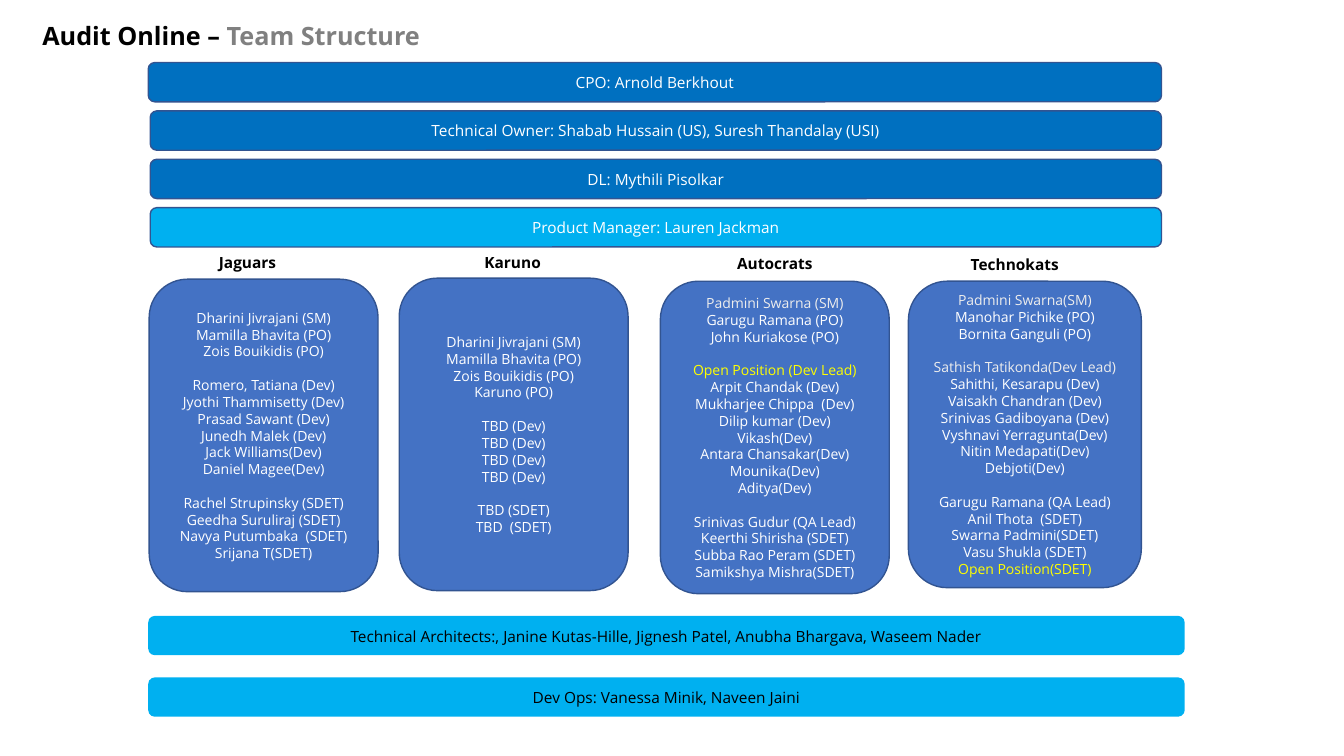
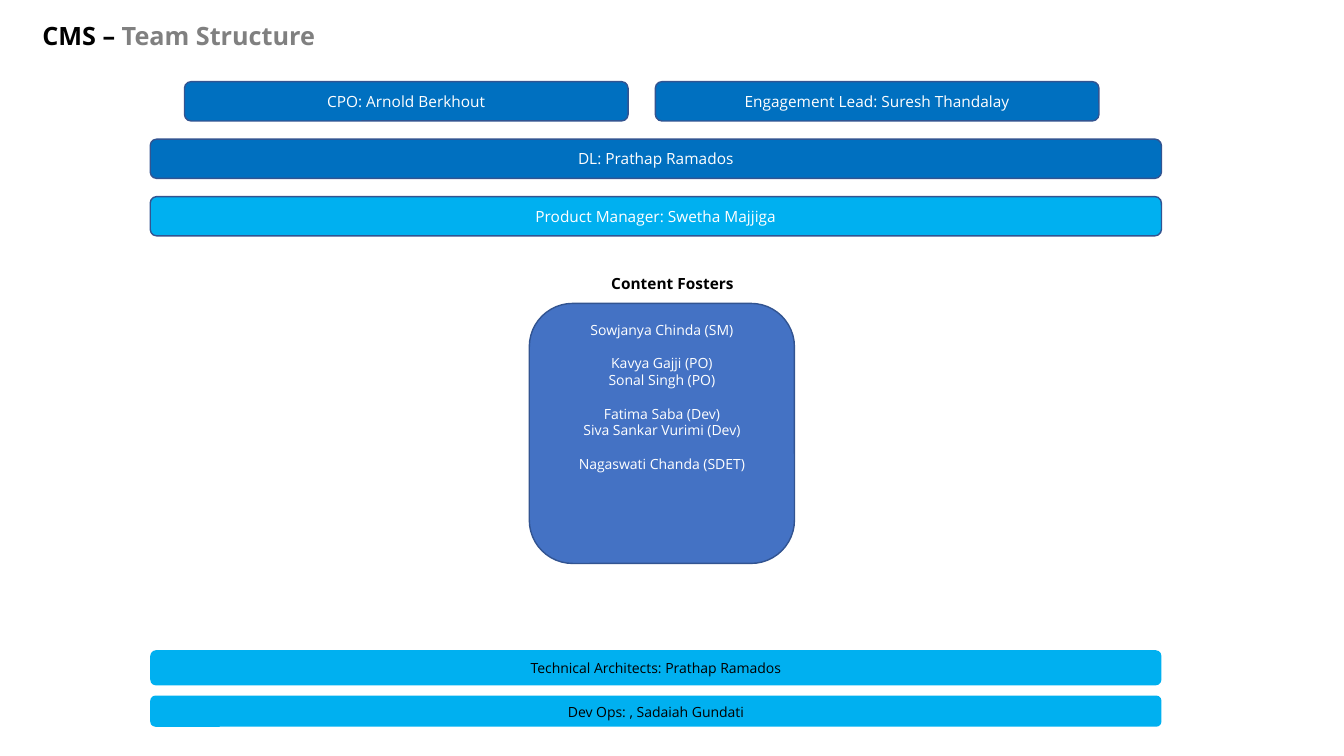
from dataclasses import dataclass

from pptx import Presentation
from pptx import util as u
from pptx.dml.color import RGBColor
from pptx.enum import shapes, text

EMU_PER_PX = 9144
FONT = "Open Sans"
BLACK = RGBColor(0x00, 0x00, 0x00)
WHITE = RGBColor(0xFF, 0xFF, 0xFF)
GRAY = RGBColor(0x80, 0x80, 0x80)
PALE = RGBColor(0xED, 0xED, 0xED)
YELLOW = RGBColor(0xFF, 0xFF, 0x00)
DEEP_BLUE = RGBColor(0x00, 0x70, 0xC0)
SKY_BLUE = RGBColor(0x00, 0xB0, 0xF0)
TEAM_BLUE = RGBColor(0x44, 0x72, 0xC4)
OUTLINE = RGBColor(0x32, 0x54, 0x91)
TITLE_ENDING = "Team Structure"
GROUP_GAP = u.Pt(12)
MEMBER_COLORS = {
    "Padmini Swarna (SM)": PALE,
    "Padmini Swarna(SM)": PALE,
    "Sathish Tatikonda(Dev Lead)": PALE,
    "Open Position (Dev Lead)": YELLOW,
    "Open Position(SDET)": YELLOW,
}


@dataclass(frozen=True)
class Box:
    left: int
    top: int
    width: int
    height: int

    def emu(self) -> tuple[int, ...]:
        return tuple(
            px * EMU_PER_PX for px in (self.left, self.top, self.width, self.height)
        )


@dataclass(frozen=True)
class BarStyle:
    fill: RGBColor
    font_color: RGBColor
    outline: RGBColor | None = OUTLINE
    inset: int | None = None
    line_spacing: float = 1.0


@dataclass(frozen=True)
class Bar:
    label: str
    box: Box
    style: BarStyle
    size: int = 11


@dataclass(frozen=True)
class Team:
    name: str
    heading: Box
    box: Box
    groups: tuple[tuple[str, ...], ...]
    anchor: text.MSO_ANCHOR = text.MSO_ANCHOR.MIDDLE


@dataclass(frozen=True)
class TeamSlide:
    product: str
    bars: tuple[Bar, ...]
    teams: tuple[Team, ...]


LEADER = BarStyle(DEEP_BLUE, WHITE)
MANAGER = BarStyle(SKY_BLUE, WHITE)
SUPPORT = BarStyle(SKY_BLUE, BLACK, outline=None, inset=5, line_spacing=1.06)


def audit_leader_box(row: int, left: int = 149, width: int = 1003) -> Box:
    return Box(left, 62 + 48 * row, width, 39)


def audit_support_box(row: int) -> Box:
    return Box(147, 611 + 61 * row, 1028, 39)


def content_leader_box(row: int, left: int = 149, width: int = 1003) -> Box:
    return Box(left, 81 + 57 * row, width, 39)


AUDIT = TeamSlide(
    "Audit Online – ",
    (
        Bar("CPO: Arnold Berkhout", audit_leader_box(0, 147, 1005), LEADER),
        Bar("Technical Owner: Shabab Hussain (US), Suresh Thandalay (USI)",
            audit_leader_box(1), LEADER),
        Bar("DL: Mythili Pisolkar", audit_leader_box(2), LEADER),
        Bar("Product Manager: Lauren Jackman", audit_leader_box(3), MANAGER),
        Bar("Technical Architects:, Janine Kutas-Hille, Jignesh Patel, "
            "Anubha Bhargava, Waseem Nader", audit_support_box(0), SUPPORT),
        Bar("Dev Ops: Vanessa Minik, Naveen Jaini", audit_support_box(1), SUPPORT),
    ),
    (
        Team("Jaguars", Box(168, 251, 155, 19), Box(148, 277, 227, 310), (
            ("Dharini Jivrajani (SM)", "Mamilla Bhavita (PO)", "Zois Bouikidis (PO)"),
            ("Romero, Tatiana (Dev)", "Jyothi Thammisetty (Dev)",
             "Prasad Sawant (Dev)", "Junedh Malek (Dev)",
             "Jack Williams(Dev)", "Daniel Magee(Dev)"),
            ("Rachel Strupinsky (SDET)", "Geedha Suruliraj (SDET)",
             "Navya Putumbaka  (SDET)", "Srijana T(SDET)"),
        )),
        Team("Karuno", Box(431, 251, 155, 19), Box(396, 276, 227, 310), (
            ("Dharini Jivrajani (SM)", "Mamilla Bhavita (PO)",
             "Zois Bouikidis (PO)", "Karuno (PO)"),
            ("TBD (Dev)",) * 4,
            ("TBD (SDET)", "TBD  (SDET)"),
        )),
        Team("Autocrats", Box(691, 252, 155, 19), Box(655, 279, 227, 310), (
            ("Padmini Swarna (SM)", "Garugu Ramana (PO)", "John Kuriakose (PO)"),
            ("Open Position (Dev Lead)", "Arpit Chandak (Dev)",
             "Mukharjee Chippa  (Dev)", "Dilip kumar (Dev)", "Vikash(Dev)",
             "Antara Chansakar(Dev)", "Mounika(Dev)", "Aditya(Dev)"),
            ("Srinivas Gudur (QA Lead)", "Keerthi Shirisha (SDET)",
             "Subba Rao Peram (SDET)", "Samikshya Mishra(SDET)"),
        )),
        Team("Technokats", Box(929, 253, 155, 19), Box(901, 279, 231, 304), (
            ("Padmini Swarna(SM)", "Manohar Pichike (PO)", "Bornita Ganguli (PO)"),
            ("Sathish Tatikonda(Dev Lead)", "Sahithi, Kesarapu (Dev)",
             "Vaisakh Chandran (Dev)", "Srinivas Gadiboyana (Dev)",
             "Vyshnavi Yerragunta(Dev)", "Nitin Medapati(Dev)", "Debjoti(Dev)"),
            ("Garugu Ramana (QA Lead)", "Anil Thota  (SDET)",
             "Swarna Padmini(SDET)", "Vasu Shukla (SDET)", "Open Position(SDET)"),
        )),
    ),
)

CONTENT = TeamSlide(
    "CMS – ",
    (
        Bar("CPO: Arnold Berkhout", content_leader_box(0, 183, 440), LEADER),
        Bar("Engagement Lead: Suresh Thandalay",
            content_leader_box(0, 650, 440), LEADER),
        Bar("DL: Prathap Ramados", content_leader_box(1), LEADER),
        Bar("Product Manager: Swetha Majjiga", content_leader_box(2), MANAGER),
        Bar("Technical Architects: Prathap Ramados",
            Box(149, 645, 1003, 35), SUPPORT, 10),
        Bar("Dev Ops: , Sadaiah Gundati", Box(149, 690, 1003, 31), SUPPORT, 10),
    ),
    (
        Team("Content Fosters", Box(589, 272, 156, 19), Box(525, 301, 263, 258), (
            ("Sowjanya Chinda (SM)",),
            ("Kavya Gajji (PO)", "Sonal Singh (PO)"),
            ("Fatima Saba (Dev)", "Siva Sankar Vurimi (Dev)"),
            ("Nagaswati Chanda (SDET)",),
        ), text.MSO_ANCHOR.TOP),
    ),
)


def add_run(paragraph, words: str, size: int, color: RGBColor, bold: bool = False) -> None:
    run = paragraph.add_run()
    run.text = words
    run.font.name = FONT
    run.font.size = u.Pt(size)
    run.font.bold = bold
    run.font.color.rgb = color


def set_insets(frame, px: int) -> None:
    frame.margin_left = frame.margin_right = px * EMU_PER_PX
    frame.margin_top = frame.margin_bottom = px * EMU_PER_PX


def add_rounded_box(slide, box: Box, fill: RGBColor, outline: RGBColor | None):
    shape = slide.shapes.add_shape(shapes.MSO_SHAPE.ROUNDED_RECTANGLE, *box.emu())
    shape.shadow.inherit = False
    shape.fill.solid()
    shape.fill.fore_color.rgb = fill
    if outline is None:
        shape.line.fill.background()
    else:
        shape.line.color.rgb = outline
        shape.line.width = u.Pt(1)
    shape.text_frame.word_wrap = True
    shape.text_frame.vertical_anchor = text.MSO_ANCHOR.MIDDLE
    return shape


def add_title(slide, product: str) -> None:
    title = slide.shapes.title
    title.left, title.top, title.width, title.height = Box(42, 19, 1231, 37).emu()
    frame = title.text_frame
    frame.word_wrap = True
    frame.auto_size = text.MSO_AUTO_SIZE.NONE
    frame.vertical_anchor = text.MSO_ANCHOR.MIDDLE
    set_insets(frame, 0)
    paragraph = frame.paragraphs[0]
    paragraph.alignment = text.PP_ALIGN.LEFT
    paragraph.line_spacing = 0.9
    add_run(paragraph, product, 18, BLACK, bold=True)
    add_run(paragraph, TITLE_ENDING, 18, GRAY, bold=True)


def add_bar(slide, bar: Bar) -> None:
    frame = add_rounded_box(slide, bar.box, bar.style.fill, bar.style.outline).text_frame
    if bar.style.inset is not None:
        set_insets(frame, bar.style.inset)
    paragraph = frame.paragraphs[0]
    paragraph.alignment = text.PP_ALIGN.CENTER
    paragraph.line_spacing = bar.style.line_spacing
    add_run(paragraph, bar.label, bar.size, bar.style.font_color)


def add_team(slide, team: Team) -> None:
    heading = slide.shapes.add_textbox(*team.heading.emu()).text_frame
    heading.word_wrap = True
    set_insets(heading, 0)
    heading.paragraphs[0].alignment = text.PP_ALIGN.CENTER
    add_run(heading.paragraphs[0], team.name, 11, BLACK, bold=True)

    frame = add_rounded_box(slide, team.box, TEAM_BLUE, OUTLINE).text_frame
    frame.vertical_anchor = team.anchor
    paragraph = frame.paragraphs[0]
    for group_index, group in enumerate(team.groups):
        for member_index, member in enumerate(group):
            if group_index or member_index:
                paragraph = frame.add_paragraph()
            if group_index and not member_index:
                paragraph.space_before = GROUP_GAP
            paragraph.alignment = text.PP_ALIGN.CENTER
            add_run(paragraph, member, 10, MEMBER_COLORS.get(member, WHITE))


def add_team_slide(presentation, content: TeamSlide) -> None:
    slide = presentation.slides.add_slide(presentation.slide_layouts[5])
    add_title(slide, content.product)
    for bar in content.bars:
        add_bar(slide, bar)
    for team in content.teams:
        add_team(slide, team)


def main() -> None:
    presentation = Presentation()
    presentation.slide_width = 1333 * EMU_PER_PX
    presentation.slide_height = 750 * EMU_PER_PX
    for content in (AUDIT, CONTENT):
        add_team_slide(presentation, content)
    presentation.save("out.pptx")


if __name__ == "__main__":
    main()
